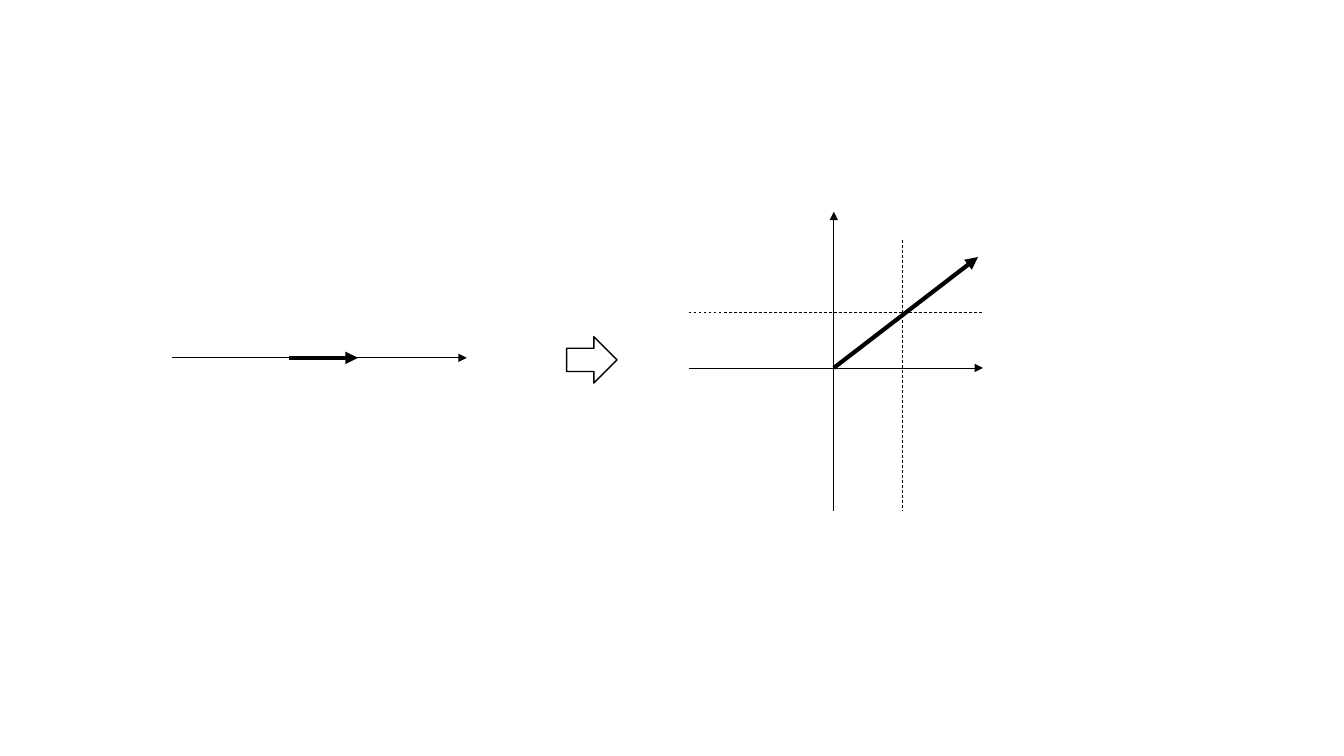
from dataclasses import dataclass

from lxml import etree
from pptx import Presentation
from pptx.dml.color import RGBColor
from pptx.enum.dml import MSO_LINE
from pptx.enum.shapes import MSO_CONNECTOR, MSO_SHAPE
from pptx.oxml.ns import qn
from pptx.util import Inches, Pt

STRAIGHT = MSO_CONNECTOR.STRAIGHT
DOWN_ARROW = MSO_SHAPE.DOWN_ARROW
DASH = MSO_LINE.DASH


@dataclass(frozen=True)
class Theme:
    ink: RGBColor = RGBColor(0x00, 0x00, 0x00)
    paper: RGBColor = RGBColor(0xFF, 0xFF, 0xFF)
    thin: float = 0.5
    outline: float = 1
    thick: float = 3


@dataclass(frozen=True)
class Line:
    x1: float
    y1: float
    x2: float
    y2: float
    width: float
    arrow: bool = True


THEME = Theme()
NUMBER_LINE_Y = 3.55
PLANE_LEFT, PLANE_RIGHT = 6.83, 9.75
PLANE_TOP, PLANE_BOTTOM = 2.1, 5.07
ORIGIN_X, ORIGIN_Y = 8.27, 3.65
GUIDE_X, GUIDE_Y = 8.95, 3.1

LINES = [
    Line(1.71, NUMBER_LINE_Y, 4.63, NUMBER_LINE_Y, THEME.thin),
    Line(PLANE_LEFT, ORIGIN_Y, PLANE_RIGHT, ORIGIN_Y, THEME.thin),
    Line(ORIGIN_X, PLANE_BOTTOM, ORIGIN_X, PLANE_TOP, THEME.thin),
    Line(2.87, NUMBER_LINE_Y, 3.55, NUMBER_LINE_Y, THEME.thick),
    Line(PLANE_LEFT, GUIDE_Y, PLANE_RIGHT, GUIDE_Y, THEME.thin, arrow=False),
    Line(ORIGIN_X, ORIGIN_Y, 9.7, 2.55, THEME.thick),
    Line(GUIDE_X, 2.38, GUIDE_X, PLANE_BOTTOM, THEME.thin, arrow=False),
]


def draw_line(shapes, line: Line) -> None:
    cx = shapes.add_connector(
        STRAIGHT, Inches(line.x1), Inches(line.y1), Inches(line.x2), Inches(line.y2)
    )
    cx.line.color.rgb = THEME.ink
    cx.line.width = Pt(line.width)
    if line.arrow:
        etree.SubElement(cx.line._get_or_add_ln(), qn("a:tailEnd"), type="triangle")
    else:
        cx.line.dash_style = DASH
    etree.SubElement(cx._element.spPr, qn("a:effectLst"))


def draw_block_arrow(
    shapes, left: float, top: float, width: float, height: float, rotation: float
) -> None:
    sp = shapes.add_shape(
        DOWN_ARROW, Inches(left), Inches(top), Inches(width), Inches(height)
    )
    sp.rotation = rotation
    sp.shadow.inherit = False
    sp.fill.solid()
    sp.fill.fore_color.rgb = THEME.paper
    sp.line.color.rgb = THEME.ink
    sp.line.width = Pt(THEME.outline)


def main() -> None:
    prs = Presentation()
    prs.slide_width, prs.slide_height = Inches(13.33), Inches(7.5)
    s = prs.slides.add_slide(prs.slide_layouts[6])
    for line in LINES:
        draw_line(s.shapes, line)
    draw_block_arrow(s.shapes, 5.64, 3.32, 0.46, 0.5, rotation=270)
    prs.save("out.pptx")


if __name__ == "__main__":
    main()
